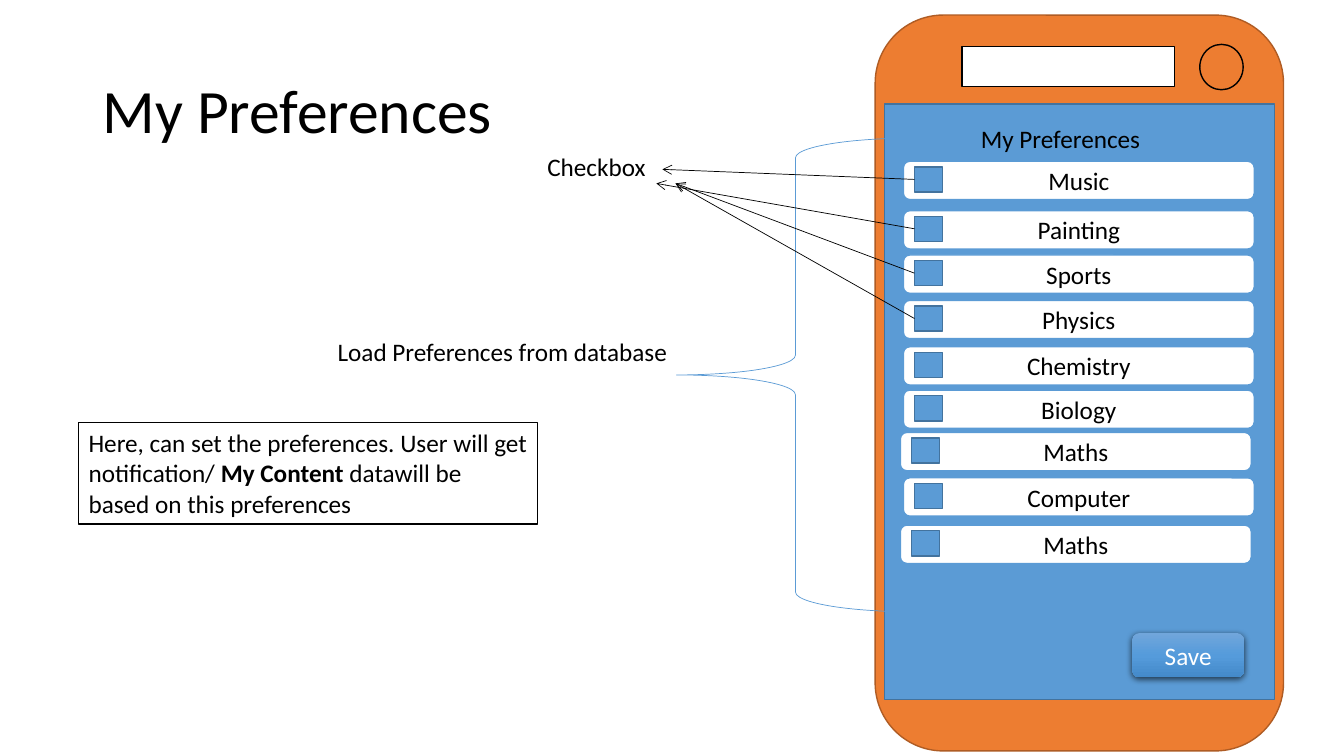
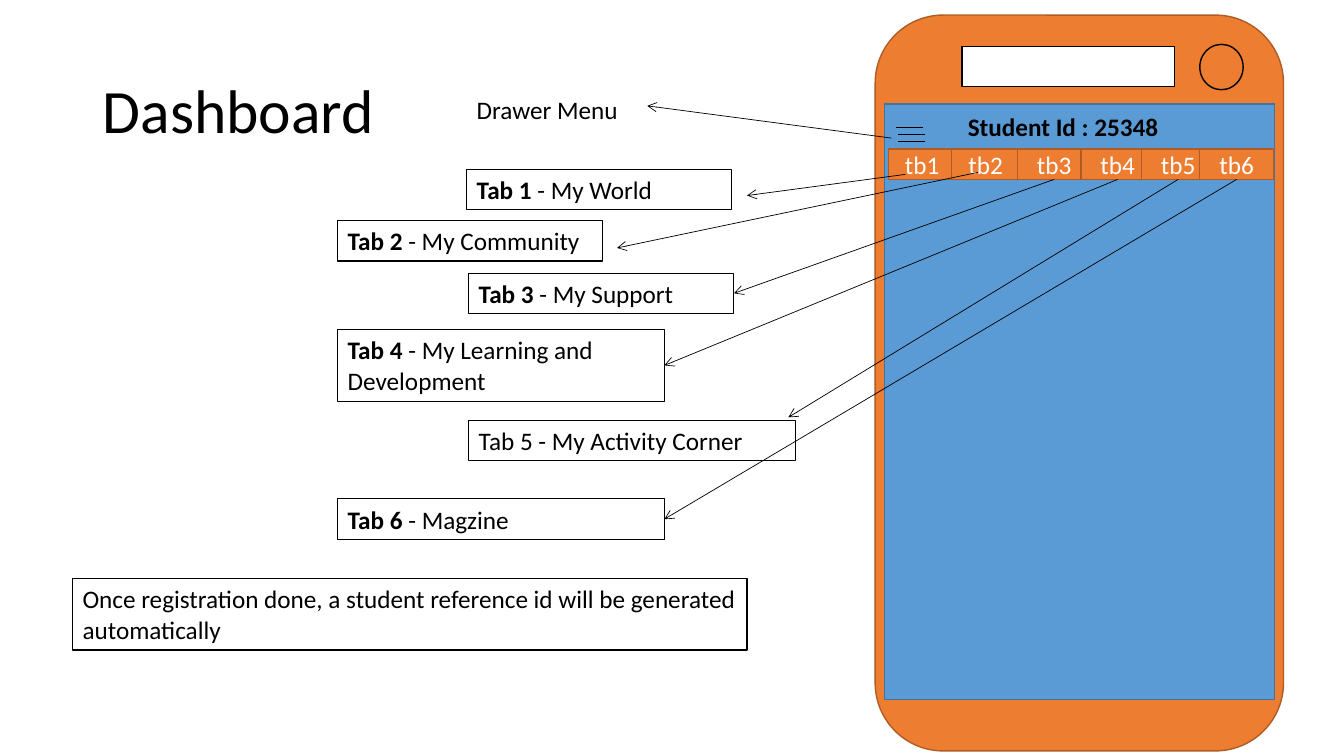
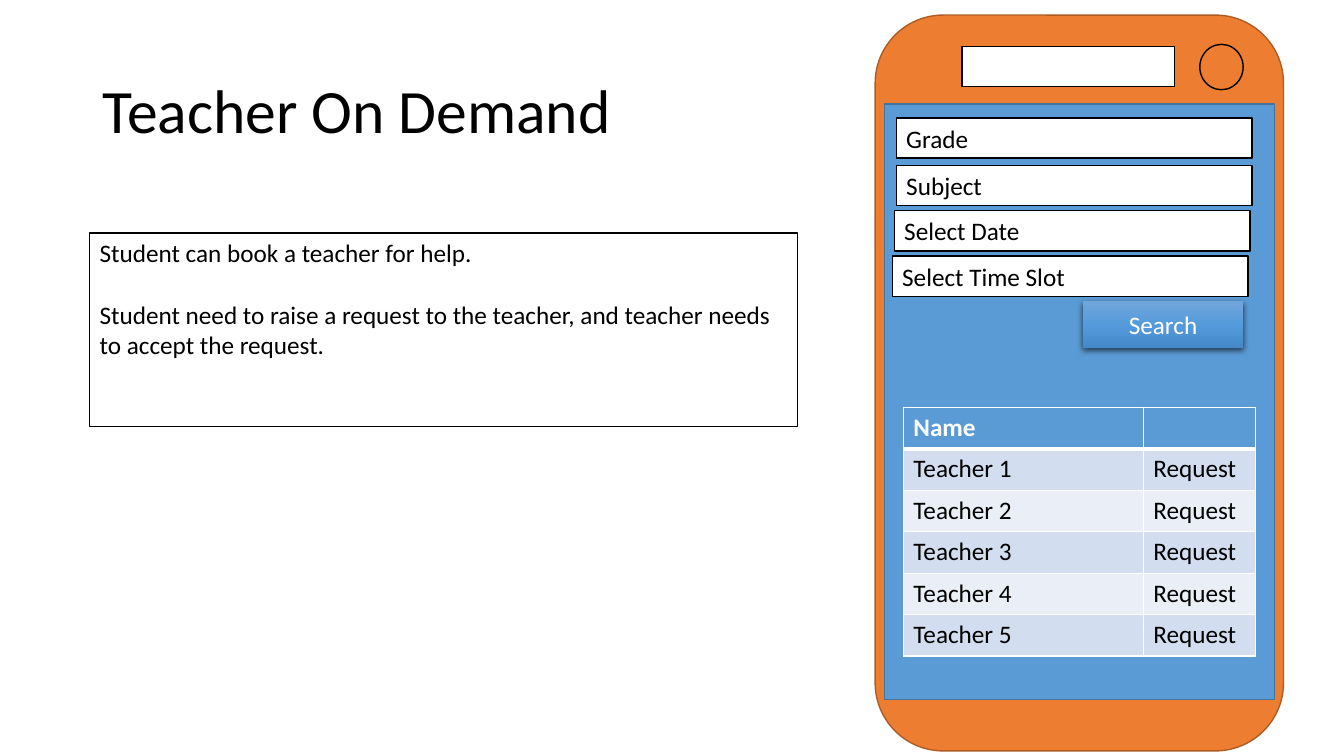
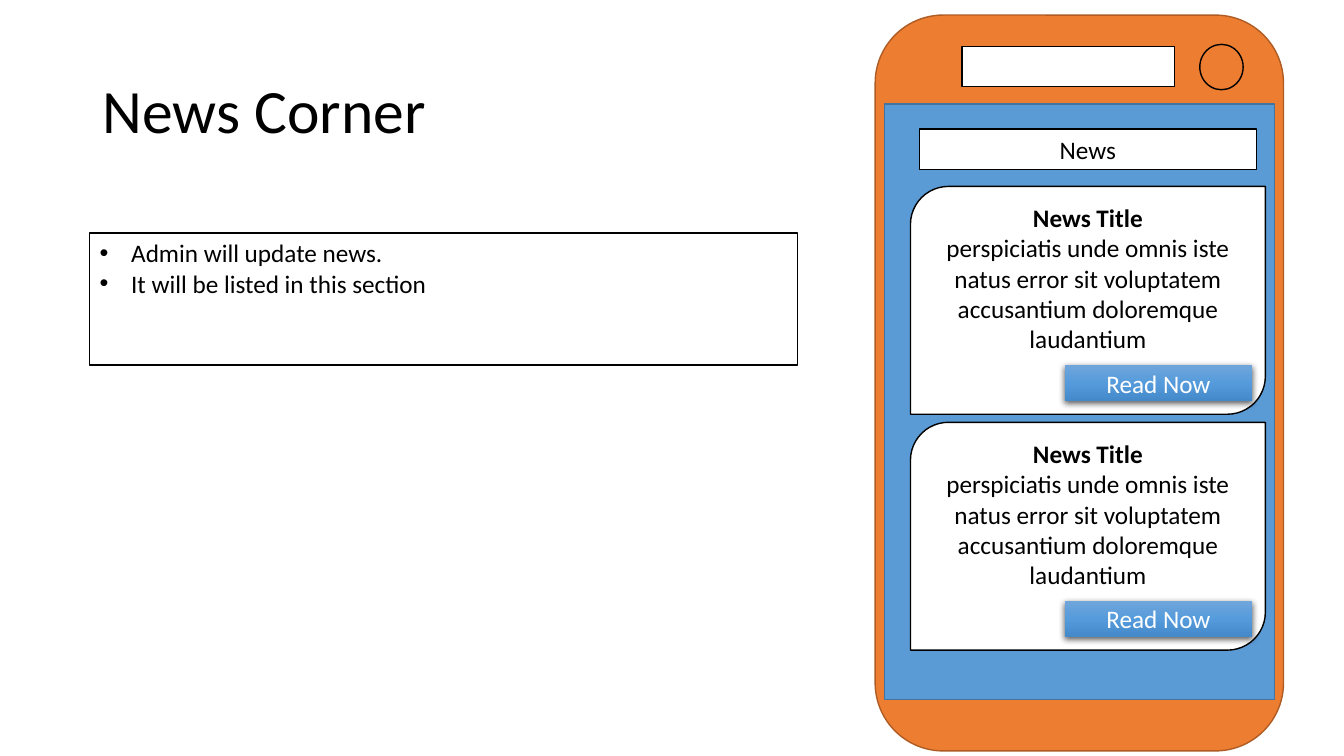
from lxml import etree
from pptx import Presentation
from pptx.dml.color import RGBColor
from pptx.enum.shapes import MSO_CONNECTOR, MSO_SHAPE
from pptx.enum.text import MSO_ANCHOR, PP_ALIGN
from pptx.oxml import parse_xml
from pptx.oxml.ns import qn
from pptx.util import Inches, Pt

RECT, ROUND, OVAL = MSO_SHAPE.RECTANGLE, MSO_SHAPE.ROUNDED_RECTANGLE, MSO_SHAPE.OVAL
BRACE, CARD = MSO_SHAPE.LEFT_BRACE, MSO_SHAPE.ROUND_2_DIAG_RECTANGLE
LINE = MSO_CONNECTOR.STRAIGHT
LEFT, MID = PP_ALIGN.LEFT, PP_ALIGN.CENTER
TOP, CENTER = MSO_ANCHOR.TOP, MSO_ANCHOR.MIDDLE
FONT, SIZE = "Calibri", 18
NS = 'xmlns:a="http://schemas.openxmlformats.org/drawingml/2006/main"'

INK = {
    "black": "000000", "white": "FFFFFF", "case": "ED7D31", "rim": "AF5C24",
    "blue": "5B9BD5", "edge": "43739E", "odd": "D2DEEF", "even": "EAEFF7",
}
GLOSS = [(0, "71A6DB"), (50, "559BDB"), (100, "448ACA")]

PREFS = [
    ("Music", 8.96, 1.6, (6.57, 1.68)),
    ("Painting", 8.96, 2.09, (6.51, 1.82)),
    ("Sports", 8.96, 2.53, (6.7, 1.82)),
    ("Physics", 8.96, 2.98, (6.7, 1.82)),
    ("Chemistry", 8.96, 3.44, None),
    ("Biology", 8.96, 3.87, None),
    ("Maths", 8.93, 4.29, None),
    ("Computer", 8.96, 4.74, None),
    ("Maths", 8.93, 5.21, None),
]
PREF_NOTE = [[
    ("Here, can set the preferences. User will get notification/ ", False),
    ("My Content", True),
    (" datawill be based on this preferences", False),
]]
TABS = [
    ("tb1 ", 8.81, [("Tab 1", True), (" - My World", False)],
     (4.63, 1.68, 2.63, 0.4), (8.98, 1.73), (7.41, 1.94)),
    ("tb2 ", 9.44, [("Tab 2", True), (" - My Community", False)],
     (3.35, 2.19, 2.63, 0.4), (9.7, 1.71), (6.12, 2.46)),
    ("tb3", 10.09, [("Tab 3", True), (" - My Support", False)],
     (4.65, 2.71, 2.63, 0.4), None, None),
    ("tb4", 10.72, [("Tab 4 ", True), ("- My Learning and Development", False)],
     (3.35, 3.27, 3.24, 0.71), None, None),
    ("tb5", 11.32, [("Tab 5 - My Activity Corner", False)],
     (4.65, 4.17, 3.24, 0.4), None, (7.82, 4.14)),
    ("tb6", 11.9, [("Tab 6 ", True), ("- Magzine", False)],
     (3.35, 4.95, 3.24, 0.4), None, None),
]
ID_NOTE = "Once registration done, a student reference id will be generated automatically"
FIELDS = [
    ("Grade", 8.89, 1.17), ("Subject", 8.89, 1.64),
    ("Select Date", 8.87, 2.09), ("Select Time Slot", 8.85, 2.54),
]
HELP = [
    "Student can book a teacher for help.",
    "Student need to raise a request to the teacher, and teacher needs to accept the request.",
]
ROWS = [("Name", "")] + [(f"Teacher {n}", "Request") for n in range(1, 6)]
COLS = (2.38, 1.11)
NEWS_NOTE = ["Admin will update news.", "It will be listed in this section"]
STORY = [
    [("News Title", True)],
    "perspiciatis unde omnis iste natus error sit voluptatem accusantium doloremque laudantium",
]


def rgb(name):
    return RGBColor.from_string(INK[name])


def write(frame, paras, ink="black", align=LEFT, size=SIZE):
    frame.word_wrap = True
    for i, runs in enumerate(paras):
        para = frame.paragraphs[0] if i == 0 else frame.add_paragraph()
        para.alignment = align
        for text, bold in [(runs, False)] if isinstance(runs, str) else runs:
            run = para.add_run()
            run.text = text
            run.font.name, run.font.size, run.font.bold = FONT, Pt(size), bold
            run.font.color.rgb = rgb(ink)


def label(slide, box, *paras, anchor=TOP, size=SIZE):
    frame = slide.shapes.add_textbox(*map(Inches, box)).text_frame
    write(frame, paras, size=size)
    frame.vertical_anchor = anchor
    return frame


def block(slide, kind, box, fill=None, line=None, width=1, paras=(),
          ink="black", align=LEFT, anchor=TOP):
    shape = slide.shapes.add_shape(kind, *map(Inches, box))
    shape.shadow.inherit = False
    if fill:
        shape.fill.solid()
        shape.fill.fore_color.rgb = rgb(fill)
    else:
        shape.fill.background()
    if line:
        shape.line.color.rgb = rgb(line)
        shape.line.width = Pt(width)
    else:
        shape.line.fill.background()
    write(shape.text_frame, paras, ink, align)
    shape.text_frame.vertical_anchor = anchor
    return shape


def button(slide, kind, box, text):
    shape = block(slide, kind, box, "blue", None, 1, [text], "white", MID, CENTER)
    props = shape.fill._xPr
    stops = "".join(f'<a:gs pos="{pos * 1000}"><a:srgbClr val="{tone}"/></a:gs>'
                    for pos, tone in GLOSS)
    props.replace(props.find(qn("a:solidFill")), parse_xml(
        f'<a:gradFill {NS} rotWithShape="1"><a:gsLst>{stops}</a:gsLst>'
        '<a:lin ang="5400000" scaled="0"/></a:gradFill>'))
    props.find(qn("a:effectLst")).append(parse_xml(
        f'<a:outerShdw {NS} blurRad="57150" dist="19050" dir="5400000" algn="ctr" '
        'rotWithShape="0"><a:srgbClr val="000000"><a:alpha val="63000"/></a:srgbClr>'
        '</a:outerShdw>'))


def link(slide, start, end, arrow=True):
    spots = [p if isinstance(p[0], (int, float)) else (0, 0) for p in (start, end)]
    wire = slide.shapes.add_connector(LINE, *map(Inches, spots[0] + spots[1]))
    if spots[0] != start:
        wire.begin_connect(*start)
    if spots[1] != end:
        wire.end_connect(*end)
    wire.line.color.rgb = rgb("black")
    wire.line.width = Pt(0.5)
    if arrow:
        etree.SubElement(wire.line._get_or_add_ln(), qn("a:tailEnd"), type="arrow")
    etree.SubElement(wire._element.spPr, qn("a:effectLst"))


def page(deck, title):
    slide = deck.slides.add_slide(deck.slide_layouts[6])
    head = label(slide, (0.92, 0.4, 11.5, 1.45), title, anchor=CENTER, size=44)
    head.paragraphs[0].line_spacing = 0.9
    block(slide, ROUND, (8.68, 0.15, 4.05, 7.3), "case", "rim")
    block(slide, RECT, (9.54, 0.46, 2.11, 0.4), "white", "black")
    block(slide, OVAL, (11.9, 0.44, 0.43, 0.45), "case", "black")
    block(slide, RECT, (8.77, 1.03, 3.87, 5.91), "blue", "edge")
    return slide


def prefs(deck):
    slide = page(deck, "My Preferences")
    label(slide, (9.63, 1.17, 1.94, 0.4), "My Preferences")
    ticks = []
    for name, x, y, goal in PREFS:
        block(slide, ROUND, (x, y, 3.48, 0.38), "white", "blue", 1, [name],
              align=MID, anchor=CENTER)
        tick = block(slide, RECT, (x + 0.11, y + 0.055, 0.28, 0.25), "blue", "edge")
        ticks.append((tick, goal))
    button(slide, ROUND, (11.23, 6.28, 1.11, 0.44), "Save")
    label(slide, (3.25, 3.29, 3.59, 0.4), "Load Preferences from database")
    block(slide, BRACE, (6.71, 1.37, 2.36, 4.7), None, "blue", 0.5)
    label(slide, (5.33, 1.45, 1.38, 0.4), "Checkbox")
    for tick, goal in ticks:
        if goal:
            link(slide, (tick, 1), goal)
    block(slide, RECT, (0.78, 4.19, 4.55, 1.01), "white", "black", 1, PREF_NOTE)


def board(deck):
    slide = page(deck, "Dashboard")
    for i, x in enumerate((8.89, 8.91, 8.91)):
        y = 1.26 + 0.07 * i
        link(slide, (x, y), (x + 0.26, y), False)
    label(slide, (4.63, 0.89, 2.63, 0.4), "Drawer Menu")
    link(slide, (8.84, 1.37), (6.42, 1.05))
    wires = []
    for name, x, runs, box, start, end in TABS:
        tab = block(slide, RECT, (x, 1.48, 0.73, 0.3), "case", "rim", 1, [name],
                    "white", MID, CENTER)
        note = block(slide, RECT, box, None, "black", 0.75, [runs])
        wires.append((start or (tab, 2), end or (note, 3)))
    for start, end in wires:
        link(slide, start, end)
    label(slide, (9.5, 1.06, 2.58, 0.4), [("Student Id : 25348", True)])
    block(slide, RECT, (0.72, 5.74, 6.69, 0.71), "white", "black", 1, [ID_NOTE])


def edge(cell, side, width):
    cell._tc.get_or_add_tcPr().append(parse_xml(
        f'<a:{side} {NS} w="{Pt(width)}"><a:solidFill><a:srgbClr val="{INK["white"]}"/>'
        f'</a:solidFill></a:{side}>'))


def teach(deck):
    slide = page(deck, "Teacher On Demand")
    for name, x, y in FIELDS:
        block(slide, RECT, (x, y, 3.53, 0.4), "white", "black", 1, [name])
    note = block(slide, RECT, (0.89, 2.31, 7.02, 1.92), "white", "black", 1, HELP)
    note.text_frame.paragraphs[1].space_before = Pt(22)
    grid = slide.shapes.add_table(len(ROWS), len(COLS),
                                  *map(Inches, (8.96, 4.04, sum(COLS), 2.47))).table
    for c, width in enumerate(COLS):
        grid.columns[c].width = Inches(width)
    for r, row in enumerate(ROWS):
        fill = "blue" if r == 0 else "odd" if r % 2 else "even"
        for c, text in enumerate(row):
            cell = grid.cell(r, c)
            if text:
                write(cell.text_frame, [[(text, r == 0)]], "black" if r else "white")
            for side, width in (("lnL", 1), ("lnR", 1), ("lnT", 3 if r == 1 else 1),
                                ("lnB", 1 if r else 3)):
                edge(cell, side, width)
            cell.fill.solid()
            cell.fill.fore_color.rgb = rgb(fill)
    button(slide, RECT, (10.74, 2.99, 1.59, 0.46), "Search")


def news(deck):
    slide = page(deck, "News Corner")
    note = block(slide, RECT, (0.89, 2.31, 7.02, 1.31), "white", "black", 1, NEWS_NOTE)
    for para in note.text_frame.paragraphs:
        props = para._p.get_or_add_pPr()
        props.set("marL", "285750")
        props.set("indent", "-285750")
        etree.SubElement(props, qn("a:buFont"), typeface="Arial")
        etree.SubElement(props, qn("a:buChar"), char="•")
    block(slide, RECT, (9.12, 1.28, 3.34, 0.4), "white", "black", 1, ["News"],
          align=MID, anchor=CENTER)
    for i in range(2):
        y = 1.85 + 2.34 * i
        block(slide, CARD, (9.03, y, 3.52, 2.26), "white", "black", 1, STORY, align=MID)
        button(slide, RECT, (10.56, y + 1.77, 1.86, 0.36), "Read Now")


def main():
    deck = Presentation()
    deck.slide_width, deck.slide_height = Inches(13.33), Inches(7.5)
    for build in (prefs, board, teach, news):
        build(deck)
    deck.save("out.pptx")


if __name__ == "__main__":
    main()
